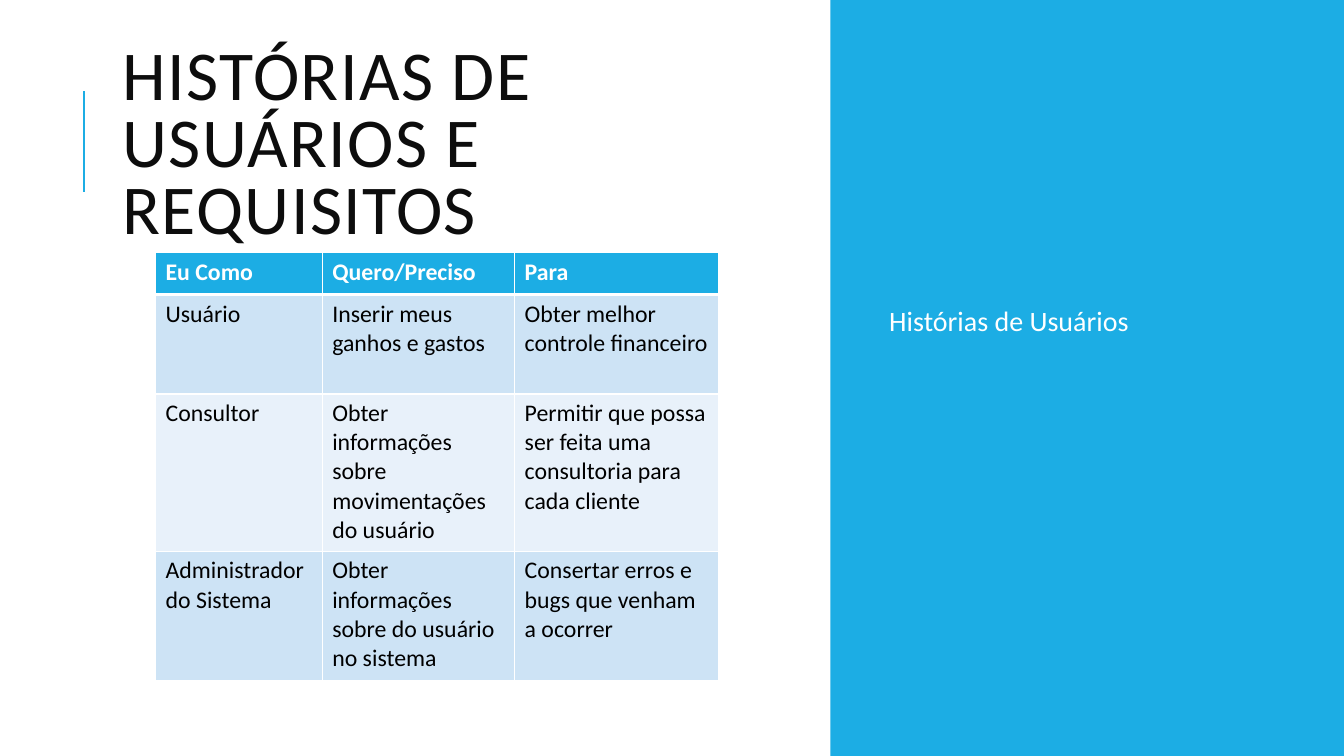
from lxml.etree import SubElement
from pptx import Presentation
from pptx.dml.color import RGBColor
from pptx.enum.shapes import MSO_CONNECTOR, MSO_SHAPE
from pptx.enum.text import MSO_ANCHOR
from pptx.oxml import parse_xml
from pptx.oxml.ns import nsdecls, qn
from pptx.util import Cm, Pt

FONT = "Calibri"
BLUE = RGBColor(0x1C, 0xAD, 0xE4)
DARK_BAND = RGBColor(0xCD, 0xE3, 0xF5)
LIGHT_BAND = RGBColor(0xE8, 0xF1, 0xFA)
WHITE = RGBColor(0xFF, 0xFF, 0xFF)
BLACK = RGBColor(0, 0, 0)
TITLE_COLOR = RGBColor(0x0D, 0x0D, 0x0D)

STORIES = [
    ["Eu Como", "Quero/Preciso", "Para"],
    ["Usuário", "Inserir meus ganhos e gastos", "Obter melhor controle financeiro"],
    ["Consultor", "Obter informações sobre movimentações do usuário",
     "Permitir que possa ser feita uma consultoria para cada cliente"],
    ["Administrador do Sistema", "Obter informações sobre do usuário no sistema",
     "Consertar erros e bugs que venham a ocorrer"],
]
COL_WIDTHS = [4.2, 4.85, 5.13]
ROW_HEIGHTS = [1.06, 2.51, 3.96, 3.25]


def write(tf, text, size, color, bold=False):
    tf.text = text
    tf.word_wrap = True
    p = tf.paragraphs[0]
    r = p.runs[0]
    r.font.name = FONT
    r.font.size = Pt(size)
    r.font.bold = bold
    r.font.color.rgb = color
    return p, r


def add_title(slide, left, top, width, height):
    rule_x = left - Cm(0.73)
    rule = slide.shapes.add_connector(
        MSO_CONNECTOR.STRAIGHT, rule_x, top + Cm(3.2), rule_x, top + Cm(0.66))
    rule.line.color.rgb = BLUE
    rule.line.width = Pt(1.5)
    SubElement(rule._element.spPr, qn("a:effectLst"))

    tf = slide.shapes.add_textbox(left, top, width, height).text_frame
    tf.vertical_anchor = MSO_ANCHOR.MIDDLE
    p, r = write(tf, "HISTÓRIAS DE USUÁRIOS E REQUISITOS", 50, TITLE_COLOR)
    p.line_spacing = 0.8
    r.font._element.set("spc", "100")


def add_side_panel(slide, left, top, width, height):
    sp = slide.shapes.add_shape(MSO_SHAPE.RECTANGLE, left, top, width, height)
    sp.shadow.inherit = False
    sp.fill.solid()
    sp.fill.fore_color.rgb = BLUE
    sp.line.fill.background()

    tf = slide.shapes.add_textbox(
        left + Cm(1.35), top + Cm(1.63), Cm(9.8), Cm(15.52)).text_frame
    tf.vertical_anchor = MSO_ANCHOR.MIDDLE
    tf.margin_left = tf.margin_right = tf.margin_top = Cm(0.13)
    tf.margin_bottom = Cm(2.64)
    p, r = write(tf, "Histórias de Usuários", 20, WHITE)
    p.line_spacing = 0.9
    p.space_before = Pt(12)
    p.space_after = Pt(2)


def set_borders(cell, top, bottom):
    widths = {"lnL": 1, "lnR": 1, "lnT": top, "lnB": bottom}
    tcPr = cell._tc.get_or_add_tcPr()
    for i, (side, width) in enumerate(widths.items()):
        tcPr.insert(i, parse_xml(
            f'<a:{side} {nsdecls("a")} w="{Pt(width)}"><a:solidFill>'
            f'<a:srgbClr val="{WHITE}"/></a:solidFill></a:{side}>'))


def add_stories_table(slide, left, top, width, height):
    table = slide.shapes.add_table(
        len(STORIES), len(COL_WIDTHS), left, top, width, height).table
    for column, col_width in zip(table.columns, COL_WIDTHS):
        column.width = Cm(col_width)
    for i, (row, row_height) in enumerate(zip(table.rows, ROW_HEIGHTS)):
        row.height = Cm(row_height)
        header = i == 0
        fill = BLUE if header else DARK_BAND if i % 2 else LIGHT_BAND
        for cell, text in zip(row.cells, STORIES[i]):
            write(cell.text_frame, text, 17, WHITE if header else BLACK, header)
            cell.fill.solid()
            cell.fill.fore_color.rgb = fill
            set_borders(cell, 3 if i == 1 else 1, 3 if header else 1)


def main():
    prs = Presentation()
    prs.slide_width = Cm(33.87)
    prs.slide_height = Cm(19.05)
    slide = prs.slides.add_slide(prs.slide_layouts[6])
    add_title(slide, Cm(2.84), Cm(1.63), Cm(16.31), Cm(4.17))
    add_side_panel(slide, Cm(20.93), Cm(0), Cm(12.94), prs.slide_height)
    add_stories_table(slide, Cm(3.92), Cm(6.36),
                      Cm(sum(COL_WIDTHS)), Cm(sum(ROW_HEIGHTS)))
    prs.save("out.pptx")


if __name__ == "__main__":
    main()
